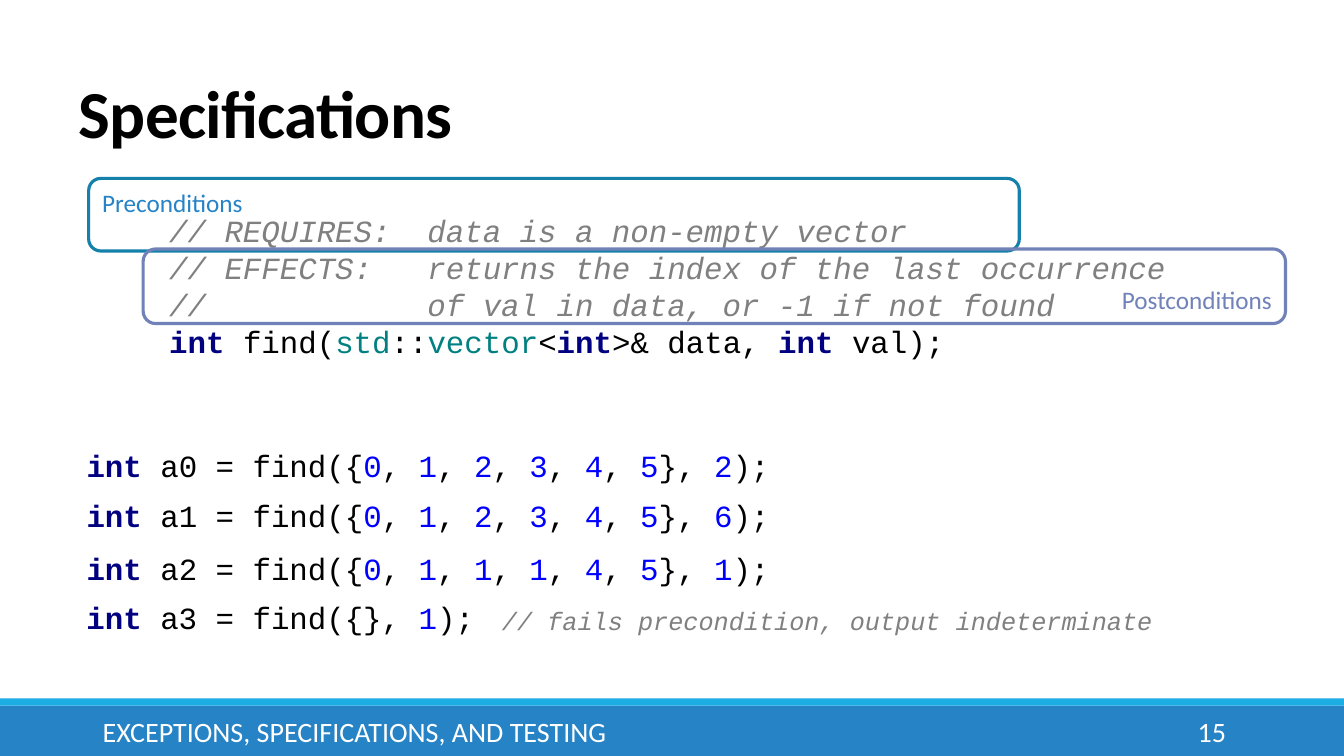
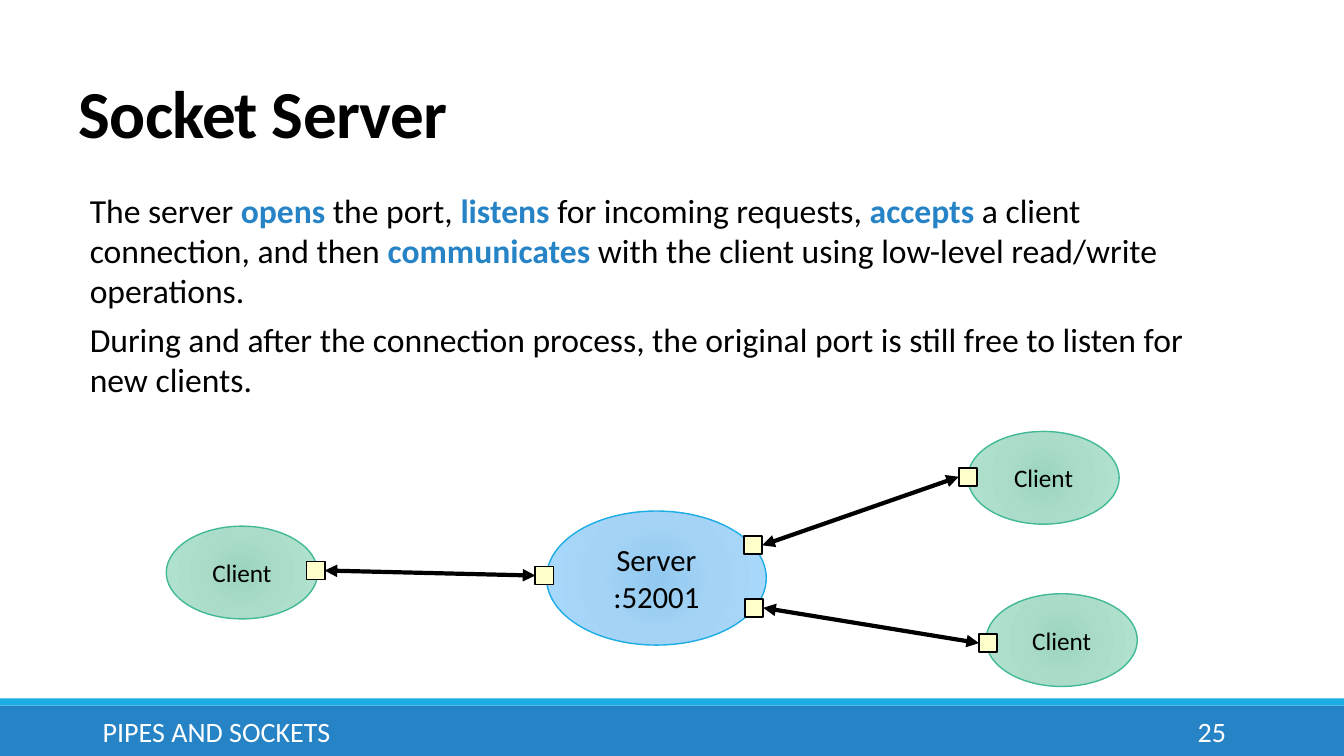
from lxml.etree import SubElement
from pptx import Presentation
from pptx.dml.color import RGBColor
from pptx.enum.shapes import MSO_CONNECTOR, MSO_SHAPE
from pptx.enum.text import MSO_ANCHOR as ANCHOR, MSO_AUTO_SIZE as FIT, PP_ALIGN as ALIGN
from pptx.oxml import parse_xml
from pptx.oxml.ns import nsdecls, qn
from pptx.util import Inches, Pt

# Colours
BLACK = RGBColor(0x00, 0x00, 0x00)
WHITE = RGBColor(0xFF, 0xFF, 0xFF)
BLUE = RGBColor(0x26, 0x83, 0xC6)
SKY = RGBColor(0x1C, 0xAD, 0xE4)
TEAL = RGBColor(0x15, 0x80, 0xA9)
VIOLET = RGBColor(0x71, 0x82, 0xB8)
GREEN = RGBColor(0x42, 0xBA, 0x97)
CREAM = RGBColor(0xFF, 0xFF, 0xCC)
GREY = RGBColor(0x80, 0x80, 0x80)
NAVY = RGBColor(0x00, 0x00, 0x80)
TYPE_TEAL = RGBColor(0x00, 0x80, 0x80)
NUMBER_BLUE = RGBColor(0x00, 0x00, 0xFF)

# Gradient stops as (percent, colour)
SERVER_STOPS = [(0, "92C9F0"), (45, "A4D3F5"), (100, "A9D9FD")]
CLIENT_STOPS = [(0, "9BD5BE"), (45, "ABDCC9"), (100, "B1E4D0")]

# Text styles
TEXT, CODE = "Calibri", "Courier New"
STYLES = {
    "title": {"name": TEXT, "size": Pt(48), "bold": True, "color": BLACK},
    "body": {"name": TEXT, "size": Pt(24), "bold": False, "color": BLACK},
    "strong": {"name": TEXT, "size": Pt(24), "bold": True, "color": BLUE},
    "footer": {"name": TEXT, "size": Pt(20), "color": WHITE},
    "server": {"name": TEXT, "size": Pt(22), "color": BLACK},
    "client": {"name": TEXT, "size": Pt(18), "color": BLACK},
    "precondition": {"name": TEXT, "size": Pt(18), "color": BLUE},
    "postcondition": {"name": TEXT, "size": Pt(18), "color": VIOLET},
    "plain": {"name": CODE, "size": Pt(22), "color": BLACK},
    "keyword": {"name": CODE, "size": Pt(22), "bold": True, "color": NAVY},
    "type": {"name": CODE, "size": Pt(22), "color": TYPE_TEAL},
    "number": {"name": CODE, "size": Pt(22), "color": NUMBER_BLUE},
    "comment": {"name": CODE, "size": Pt(22), "italic": True, "color": GREY},
    "remark": {"name": CODE, "size": Pt(18), "italic": True, "color": GREY},
}
LEFT_SITE, RIGHT_SITE = 1, 3


def set_attributes(target, values):
    for name, value in values.items():
        if name == "color":
            target.color.rgb = value
        else:
            setattr(target, name, value)


class Deck:
    """Shared style and the slide being drawn."""

    def __init__(self):
        self.presentation = Presentation()
        self.presentation.slide_width = Inches(13.33)
        self.presentation.slide_height = Inches(7.5)
        self.slide = None

    def new_slide(self, title, footer, number, layout):
        slides = self.presentation.slides
        self.slide = slides.add_slide(self.presentation.slide_layouts[layout])
        if len(slides) == 1:
            self.add_master_bands()
        shape = self.slide.shapes.title
        self.place(shape, (0.68, 0.71, 11, 0.85))
        self.fill_text(shape, [[("title", title)]], {"line_spacing": 0.85},
                       {"vertical_anchor": ANCHOR.BOTTOM, "auto_size": FIT.NONE})
        for run in shape.text_frame.paragraphs[0].runs:
            run.font._element.set("spc", "-50")
        middle = {"vertical_anchor": ANCHOR.MIDDLE}
        self.text_box((0.92, 7.06, 8.39, 0.4), [[("footer", footer)]], {}, middle)
        self.text_box((10.83, 7.06, 1.43, 0.4), [[("footer", number)]],
                      {"alignment": ALIGN.RIGHT}, middle)

    def add_master_bands(self):
        master = self.presentation.slide_master
        bands = [((0, 7, 13.33, 0.5), BLUE), ((0, 6.93, 13.33, 0.07), SKY)]
        for shape_id, (box, color) in enumerate(bands, 101):
            band = self.shape(MSO_SHAPE.RECTANGLE, box, fill=color)
            band.element.nvSpPr.cNvPr.set("id", str(shape_id))
            master.shapes.element.append(band.element)

    def place(self, shape, box):
        for name, value in zip(("left", "top", "width", "height"), box):
            setattr(shape, name, Inches(value))

    def fill_text(self, shape, lines, paragraph_format=None, frame_format=None):
        """Each line is a list of (style, text) runs."""
        frame = shape.text_frame
        set_attributes(frame, {"word_wrap": True, **(frame_format or {})})
        layout = {"alignment": ALIGN.LEFT, "space_before": Pt(0), **(paragraph_format or {})}
        for index, line in enumerate(lines):
            paragraph = frame.add_paragraph() if index else frame.paragraphs[0]
            set_attributes(paragraph, layout)
            for style, text in line:
                run = paragraph.add_run()
                run.text = text
                set_attributes(run.font, STYLES[style])

    def text_box(self, box, lines, paragraph_format=None, frame_format=None):
        shape = self.slide.shapes.add_textbox(*map(Inches, box))
        self.fill_text(shape, lines, paragraph_format, frame_format)
        return shape

    def body(self, box, lines):
        shape = self.slide.placeholders[1]
        self.place(shape, box)
        self.fill_text(shape, lines, {"space_after": Pt(6)},
                       {"margin_left": 0, "margin_right": 0, "auto_size": FIT.NONE})
        for paragraph in shape.text_frame.paragraphs:
            properties = paragraph._p.get_or_add_pPr()
            properties.set("marL", "0")
            properties.set("indent", "0")
            SubElement(properties, qn("a:buNone"))

    def shape(self, kind, box, fill=None, line=None, weight=1):
        shape = self.slide.shapes.add_shape(kind, *map(Inches, box))
        shape.shadow.inherit = False
        if fill is None:
            shape.fill.background()
        else:
            shape.fill.solid()
            shape.fill.fore_color.rgb = fill
        if line is None:
            shape.line.fill.background()
        else:
            shape.line.color.rgb = line
            shape.line.width = Pt(weight)
        return shape

    def code(self, box, lines):
        shape = self.text_box(box, lines, {}, {
            "vertical_anchor": ANCHOR.MIDDLE, "word_wrap": False,
            "auto_size": FIT.SHAPE_TO_FIT_TEXT})
        shape.fill.solid()
        shape.fill.fore_color.rgb = WHITE

    def frame(self, box, color, style, label, alignment, anchor):
        shape = self.shape(MSO_SHAPE.ROUNDED_RECTANGLE, box, line=color, weight=2.25)
        self.fill_text(shape, [[(style, label)]], {"alignment": alignment},
                       {"vertical_anchor": anchor})

    def node(self, box, stops, line, style, label):
        shape = self.shape(MSO_SHAPE.OVAL, box, WHITE, line)
        stop_xml = "".join(
            f'<a:gs pos="{percent * 1000}"><a:srgbClr val="{color}"/></a:gs>'
            for percent, color in stops)
        gradient = parse_xml(
            f'<a:gradFill {nsdecls("a")} rotWithShape="1"><a:gsLst>{stop_xml}</a:gsLst>'
            '<a:path path="circle"><a:fillToRect l="100000" t="100000" r="100000" b="100000"/>'
            '</a:path></a:gradFill>')
        properties = shape.element.spPr
        properties.replace(properties.find(qn("a:solidFill")), gradient)
        self.fill_text(shape, [[(style, label)]], {"alignment": ALIGN.CENTER},
                       {"vertical_anchor": ANCHOR.MIDDLE})

    def socket(self, left, top):
        return self.shape(MSO_SHAPE.RECTANGLE, (left, top, 0.18, 0.18), CREAM, BLACK, 1.25)

    def link(self, start, end):
        """Two-way arrow from the right of one socket to the left of another."""
        connector = self.slide.shapes.add_connector(MSO_CONNECTOR.STRAIGHT, 0, 0, 0, 0)
        connector.begin_connect(start, RIGHT_SITE)
        connector.end_connect(end, LEFT_SITE)
        connector.line.color.rgb = BLACK
        connector.line.width = Pt(3)
        line = connector.line._get_or_add_ln()
        for tag in ("a:headEnd", "a:tailEnd"):
            SubElement(line, qn(tag)).set("type", "triangle")
        SubElement(connector._element.spPr, qn("a:effectLst"))


def find_call(name, values, target):
    runs = [("keyword", "int "), ("plain", f"{name} = find({{")]
    for index, value in enumerate(values):
        if index:
            runs.append(("plain", ", "))
        runs.append(("number", str(value)))
    return runs + [("plain", "}, "), ("number", str(target)), ("plain", ");")]


def specifications(deck):
    deck.new_slide("Specifications", "EXCEPTIONS, SPECIFICATIONS, AND TESTING", "15", layout=5)

    # Function declaration
    deck.code((1.58, 2.04, 10.24, 1.58), [
        [("comment", "// REQUIRES:  data is a non-empty vector")],
        [("comment", "// EFFECTS:   returns the index of the last occurrence")],
        [("comment", "//            of val in data, or -1 if not found")],
        [("keyword", "int "), ("plain", "find("), ("type", "std"), ("plain", "::"),
         ("type", "vector"), ("plain", "<"), ("keyword", "int"), ("plain", ">& data, "),
         ("keyword", "int "), ("plain", "val);")],
    ])

    # Example calls
    calls = [
        (4.38, 7.08, [0, 1, 2, 3, 4, 5], 2),
        (4.88, 7.08, [0, 1, 2, 3, 4, 5], 6),
        (5.4, 7.08, [0, 1, 1, 1, 4, 5], 1),
        (5.89, 4.1, [], 1),
    ]
    for index, (top, width, values, target) in enumerate(calls):
        deck.code((0.76, top, width, 0.47), [find_call(f"a{index}", values, target)])
    deck.text_box((4.88, 5.96, 6.68, 0.4),
                  [[("remark", "// fails precondition, output indeterminate")]],
                  {}, {"word_wrap": False})

    # Outlines around the conditions
    deck.frame((0.88, 1.77, 9.23, 0.72), TEAL, "precondition", "Preconditions",
               ALIGN.LEFT, ANCHOR.TOP)
    deck.frame((1.42, 2.47, 11.33, 0.74), VIOLET, "postcondition", "Postconditions",
               ALIGN.RIGHT, ANCHOR.BOTTOM)


def socket_server(deck):
    deck.new_slide("Socket Server", "PIPES AND SOCKETS", "25", layout=1)
    deck.body((0.89, 1.83, 11.31, 4.59), [
        [("body", "The server "), ("strong", "opens "), ("body", "the port, "),
         ("strong", "listens "), ("body", "for incoming requests, "),
         ("strong", "accepts "), ("body", "a client connection, and then "),
         ("strong", "communicates "),
         ("body", "with the client using low-level read/write operations.")],
        [("body", "During and after the connection process, the original port is "
                  "still free to listen for new clients.")],
    ])

    # Server and clients
    deck.node((5.42, 5.07, 2.18, 1.33), SERVER_STOPS, SKY, "server", "Server :52001")
    for left, top in [(1.65, 5.22), (9.6, 4.28), (9.78, 5.89)]:
        deck.node((left, top, 1.5, 0.92), CLIENT_STOPS, GREEN, "client", "Client")

    # Connected socket pairs, left to right
    pairs = [
        ((3.04, 5.57), (5.31, 5.62)),
        ((7.38, 5.32), (9.51, 4.64)),
        ((7.39, 5.94), (9.71, 6.29)),
    ]
    for start, end in pairs:
        deck.link(deck.socket(*start), deck.socket(*end))


def main():
    deck = Deck()
    specifications(deck)
    socket_server(deck)
    deck.presentation.save("out.pptx")


if __name__ == "__main__":
    main()
